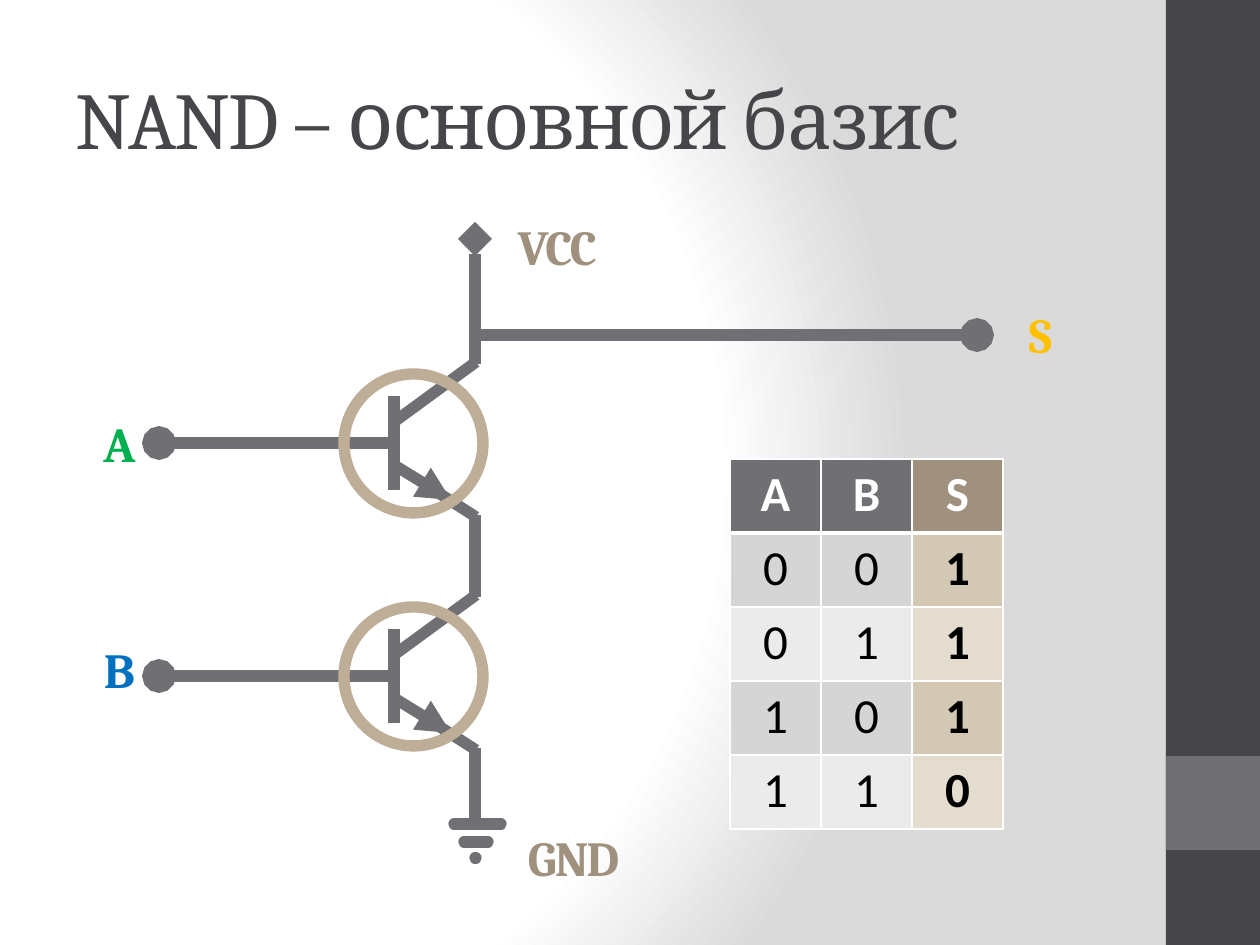
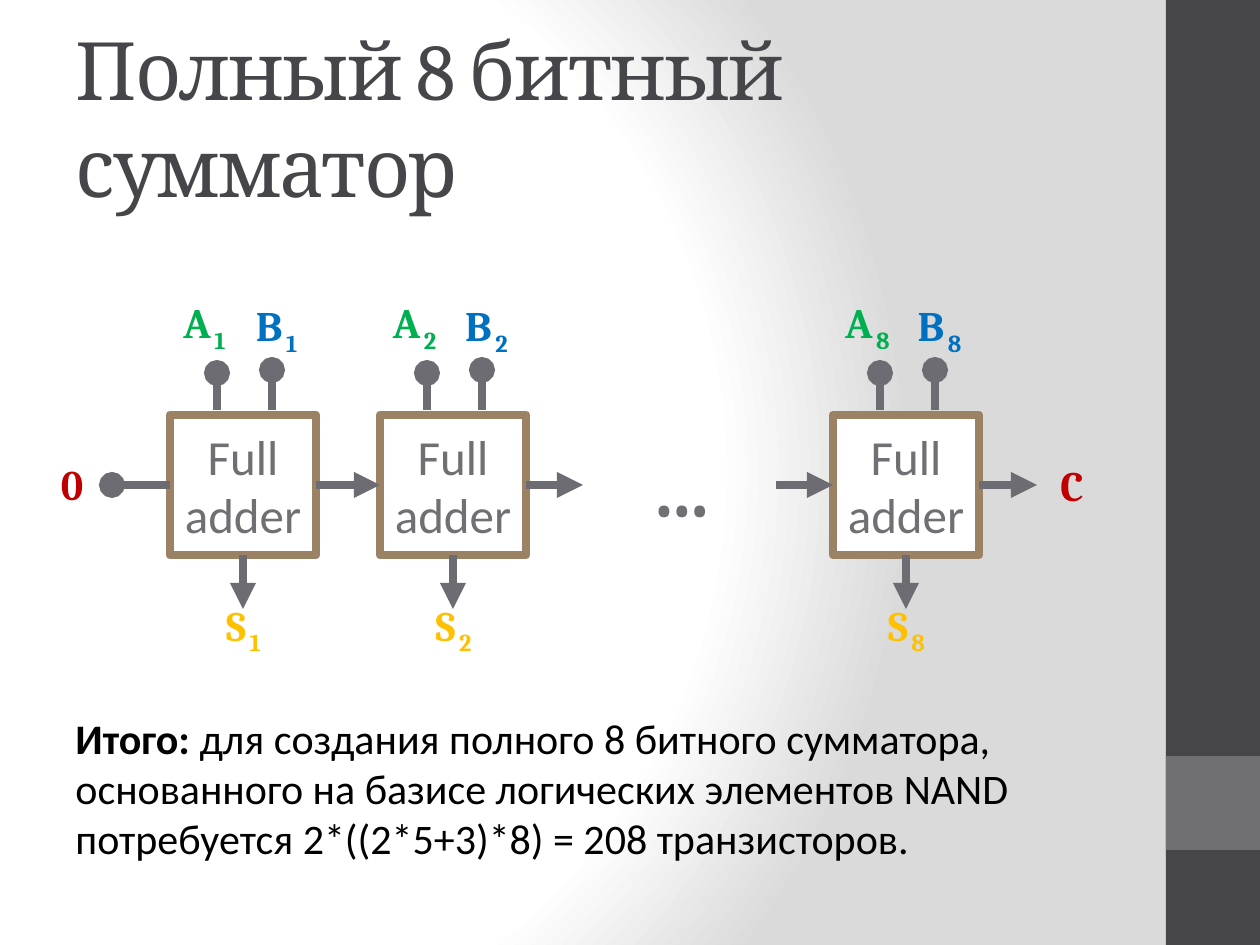
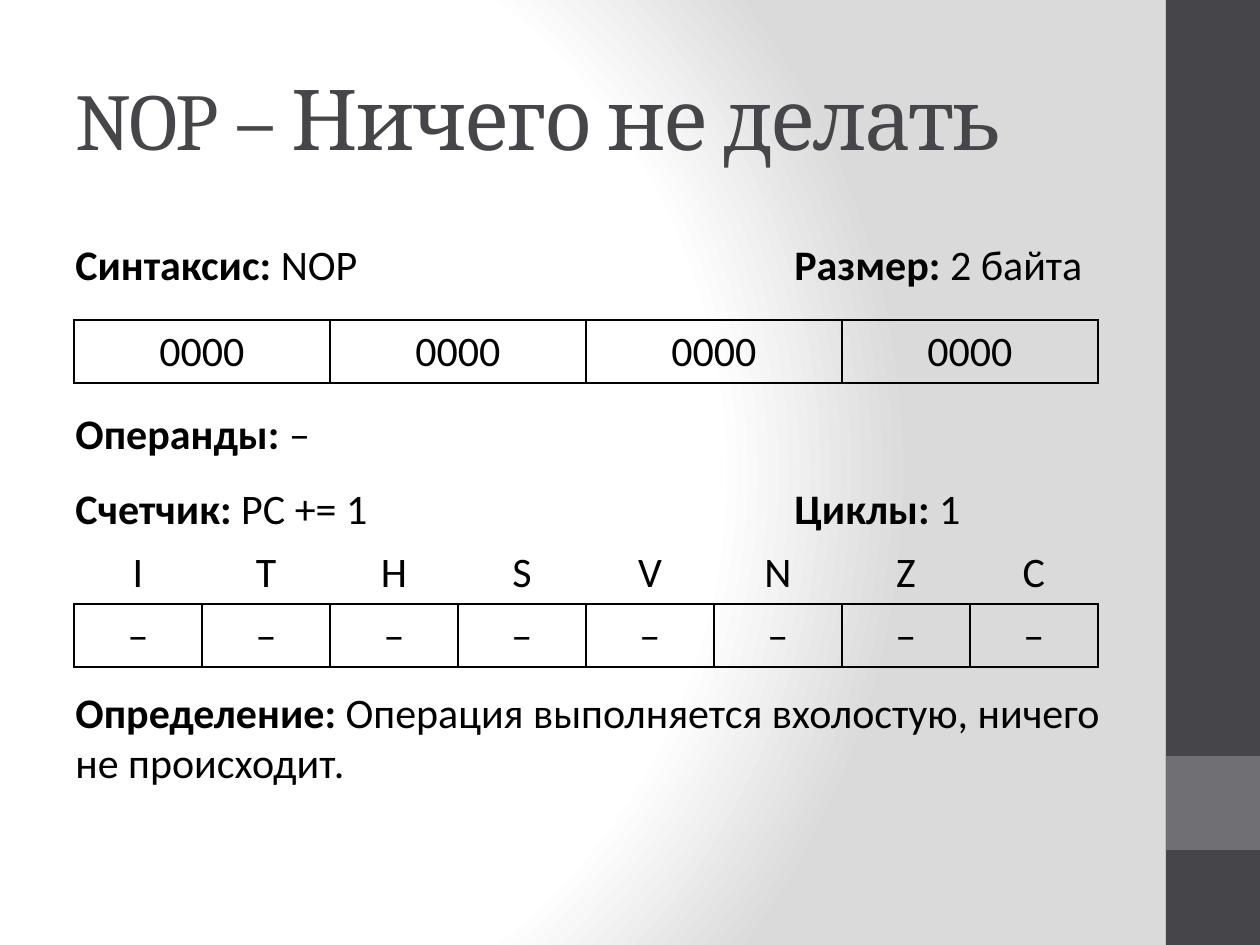
import dataclasses

import pptx
import pptx.dml.color
import pptx.enum.shapes
import pptx.enum.text
import pptx.oxml
import pptx.oxml.ns
import pptx.util

MSO_SHAPE = pptx.enum.shapes.MSO_SHAPE
ALIGN = pptx.enum.text.PP_ALIGN
ANCHOR = pptx.enum.text.MSO_ANCHOR
AUTO_SIZE = pptx.enum.text.MSO_AUTO_SIZE
PX_PER_INCH = 126
TOP, LEFT, BOTTOM, RIGHT = range(4)
PLAIN_TABLE_STYLE = "{2D5ABB26-0587-4C30-8999-92F81FD0307C}"


@dataclasses.dataclass(frozen=True)
class Theme:
    """Colours, fonts and type sizes of the deck."""
    heading_font: str = "Cambria"
    body_font: str = "Calibri"
    dark: str = "46464A"
    grey: str = "6F6F74"
    wire: str = "6C6C72"
    white: str = "FFFFFF"
    black: str = "000000"
    shade: str = "DADADA"
    ring: str = "BEAE98"
    tan: str = "A0917F"
    brown: str = "9C8265"
    green: str = "00B050"
    blue: str = "0070C0"
    gold: str = "FFC000"
    red: str = "C00000"
    input_bands: tuple = ("D5D5D6", "EBEBEB")
    output_bands: tuple = ("D3C8B4", "E3DCCF")
    title_size: int = 46
    title_large: int = 48
    dots_size: int = 44
    large: int = 28
    body: int = 24
    thick_wire: float = 6.5
    thin_wire: float = 5


THEME = Theme()


@dataclasses.dataclass(frozen=True)
class Span:
    """A stretch of text with its own look."""
    text: str
    bold: bool = None
    size: int = None
    subscript: bool = False


def px(length):
    """Turn pixels into EMU."""
    return pptx.util.Emu(round(length * 914400 / PX_PER_INCH))


def rgb(colour):
    """Turn a hex string into a colour."""
    return pptx.dml.color.RGBColor.from_string(colour)


def drawing_xml(tag, body=""):
    """Make a DrawingML element from a tag with attributes."""
    name = tag.split()[0]
    namespace = pptx.oxml.ns.nsdecls("a")
    return pptx.oxml.parse_xml(f"<a:{tag} {namespace}>{body}</a:{name}>")


def write(frame, spans, size, colour, font=THEME.body_font, bold=None,
          align=ALIGN.LEFT, tight=False):
    """Fill a text frame with one paragraph of spans."""
    para = frame.paragraphs[0]
    para.alignment = align
    para.font.name = font
    para.font.size = pptx.util.Pt(size)
    para.font.bold = bold
    para.font.color.rgb = rgb(colour)
    if tight:
        para.font._element.set("spc", "-100")
    for span in spans:
        run = para.add_run()
        run.text = span.text
        if span.bold is not None:
            run.font.bold = span.bold
        if span.size:
            run.font.size = pptx.util.Pt(span.size)
        if span.subscript:
            run.font._element.set("baseline", "-25000")


def add_title(page, *spans):
    """Place and fill the title placeholder."""
    title = page.shapes.title
    title.left, title.top, title.width, title.height = map(px, (63, 38, 1050, 158))
    frame = title.text_frame
    frame.word_wrap = True
    frame.auto_size = AUTO_SIZE.NONE
    frame.vertical_anchor = ANCHOR.MIDDLE
    write(frame, spans, THEME.title_size, THEME.dark, THEME.heading_font, tight=True)


def add_label(page, spans, place, colour, size):
    """Add a bold centred label."""
    frame = page.shapes.add_textbox(*map(px, place)).text_frame
    frame.word_wrap = True
    frame.vertical_anchor = ANCHOR.MIDDLE
    frame.margin_left = frame.margin_right = 0
    write(frame, spans, size, colour, THEME.heading_font, True, ALIGN.CENTER, True)


def add_note(page, lead, rest, place, wrap=True):
    """Add body text that opens with a bold lead."""
    frame = page.shapes.add_textbox(*map(px, place)).text_frame
    frame.word_wrap = wrap
    frame.auto_size = AUTO_SIZE.SHAPE_TO_FIT_TEXT
    write(frame, [Span(lead, bold=True), Span(rest, bold=False)], THEME.body, THEME.black)


def add_shape(page, kind, place, fill=None, line=None, width=0):
    """Add a preset shape without a shadow."""
    shape = page.shapes.add_shape(kind, *map(px, place))
    shape.shadow.inherit = False
    if fill:
        shape.fill.solid()
        shape.fill.fore_color.rgb = rgb(fill)
    else:
        shape.fill.background()
    if line:
        shape.line.color.rgb = rgb(line)
        shape.line.width = pptx.util.Pt(width)
    else:
        shape.line.fill.background()
    return shape


def add_wire(page, start, end, colour, width, tip=None, rounded=False):
    """Add a straight connector with an optional tip at its end."""
    wire = page.shapes.add_connector(
        pptx.enum.shapes.MSO_CONNECTOR.STRAIGHT, *map(px, (*start, *end)))
    wire.line.color.rgb = rgb(colour)
    wire.line.width = pptx.util.Pt(width)
    properties = wire.element.spPr
    line = properties.find(pptx.oxml.ns.qn("a:ln"))
    if rounded:
        line.set("cap", "rnd")
    if tip:
        line.append(drawing_xml(f'tailEnd type="{tip}"'))
    properties.append(drawing_xml("effectLst"))
    return wire


def thick_wire(page, start, end, tip=None, rounded=False):
    """Add a wire of the transistor circuit."""
    return add_wire(page, start, end, THEME.grey, THEME.thick_wire, tip, rounded)


def thin_wire(page, start, end, tip):
    """Add a wire of the adder chain."""
    return add_wire(page, start, end, THEME.wire, THEME.thin_wire, tip)


def add_grid(page, left, top, column, row, values):
    """Add an unstyled table of equal cells."""
    rows, columns = len(values), len(values[0])
    table = page.shapes.add_table(
        rows, columns, px(left), px(top), px(column * columns), px(row * rows)).table
    table.first_row = table.horz_banding = False
    style = table._tbl.tblPr.find(pptx.oxml.ns.qn("a:tableStyleId"))
    style.text = PLAIN_TABLE_STYLE
    for line in table.rows:
        line.height = px(row)
    for stack in table.columns:
        stack.width = px(column)
    return table


def fill_cell(cell, text, size, colour=THEME.black, bold=False, fill=None):
    """Write a centred value and set the cell's fill."""
    write(cell.text_frame, [Span(text)], size, colour, bold=bold, align=ALIGN.CENTER)
    if fill:
        cell.fill.solid()
        cell.fill.fore_color.rgb = rgb(fill)
    else:
        cell.fill.background()


def set_borders(cell, colour, **widths):
    """Draw the named sides of a cell, widths in points."""
    properties = cell._tc.get_or_add_tcPr()
    sides = [side for side in ("L", "R", "T", "B") if side in widths]
    for index, side in enumerate(sides):
        ink = f'<a:solidFill><a:srgbClr val="{colour}"/></a:solidFill>'
        width = pptx.util.Pt(widths[side])
        properties.insert(index, drawing_xml(f'ln{side} w="{width}"', ink))


def set_background(master):
    """Give the master its round gradient."""
    master.background.fill.gradient()
    gradient = master.element.find(".//" + pptx.oxml.ns.qn("a:gradFill"))
    stops = "".join(
        f'<a:gs pos="{position}000"><a:srgbClr val="{colour}"/></a:gs>'
        for position, colour in ((0, THEME.white), (75, THEME.white), (100, THEME.shade)))
    body = (f'<a:gsLst>{stops}</a:gsLst><a:path path="circle">'
            '<a:fillToRect l="20000" t="50000" r="100000" b="50000"/></a:path>')
    gradient.getparent().replace(
        gradient, drawing_xml('gradFill rotWithShape="1"', body))


def set_bands(master, page):
    """Draw the side bands and move them to the master."""
    bands = (((1166, 0, 94, 945), THEME.dark), ((1166, 756, 94, 94), THEME.grey))
    for index, (place, colour) in enumerate(bands):
        band = add_shape(page, MSO_SHAPE.RECTANGLE, place, colour).element
        band.nvSpPr.cNvPr.set("id", str(20 + index))
        master.shapes.element.insert(2 + index, band)


def add_transistor(page, base):
    """Draw a transistor whose base wire lies at the given height."""
    thick_wire(page, (423, base + 40), (476, base + 74))
    thick_wire(page, (394, base + 22), (451, base + 57), "triangle")
    thick_wire(page, (394, base - 21), (476, base - 81))
    thick_wire(page, (394, base), (159, base), "oval")
    thick_wire(page, (394, base + 47), (394, base - 47))
    add_shape(page, MSO_SHAPE.OVAL, (344, base - 69, 139, 139),
              line=THEME.ring, width=THEME.thick_wire)


def add_truth_table(page):
    """Add the NAND truth table."""
    values = ["ABS"] + [f"{a}{b}{1 - a * b}" for a in (0, 1) for b in (0, 1)]
    table = add_grid(page, 730, 459, 91, 74, values)
    for row, line in enumerate(values):
        for column, value in enumerate(line):
            cell = table.cell(row, column)
            output = column == 2
            if row == 0:
                fill = THEME.tan if output else THEME.grey
                fill_cell(cell, value, THEME.large, THEME.white, True, fill)
            else:
                bands = THEME.output_bands if output else THEME.input_bands
                fill_cell(cell, value, THEME.large, bold=output, fill=bands[(row - 1) % 2])
            set_borders(cell, THEME.white, L=1, R=1,
                        T=3 if row == 1 else 1, B=3 if row == 0 else 1)


def build_nand(page):
    """Build the NAND circuit slide."""
    add_title(page, Span("NAND – основной базис"))
    for base in (676, 443):
        add_transistor(page, base)
    thick_wire(page, (475, 364), (475, 239), "diamond")
    for start, end in ((515, 597), (748, 822)):
        thick_wire(page, (475, start), (475, end))
    for left, right, height in ((454, 501, 824), (464, 488, 842), (475, 476, 858)):
        thick_wire(page, (left, height), (right, height), rounded=True)
    thick_wire(page, (476, 335), (977, 335), "oval")
    labels = (
        ("GND", (510, 829, 127, 55), THEME.tan),
        ("VCC", (501, 218, 113, 55), THEME.tan),
        ("A", (63, 415, 113, 55), THEME.green),
        ("B", (63, 641, 113, 55), THEME.blue),
        ("S", (1002, 306, 77, 55), THEME.gold),
    )
    for text, place, colour in labels:
        add_label(page, [Span(text)], place, colour, THEME.large)
    add_truth_table(page)


def add_adder(page, left, bit):
    """Draw one adder with its inputs and its sum; return the box."""
    top = 415
    box = add_shape(page, MSO_SHAPE.RECTANGLE, (left, top, 146, 140),
                    THEME.white, THEME.brown, THEME.thin_wire)
    box.text_frame.word_wrap = True
    box.text_frame.vertical_anchor = ANCHOR.MIDDLE
    write(box.text_frame, [Span("Full adder")], THEME.large, THEME.grey, align=ALIGN.CENTER)
    for offset, height in ((47, 42), (102, 45)):
        thin_wire(page, (left + offset, top - 5), (left + offset, top - height), "oval")
    total = thin_wire(page, (left + 73, top + 140), (left + 73, top + 194), "triangle")
    total.begin_connect(box, BOTTOM)
    labels = (
        ("A", (left - 5, top - 109, 79, 39), THEME.green),
        ("B", (left + 67, top - 106, 79, 39), THEME.blue),
        ("S", (left + 32, top + 194, 83, 38), THEME.gold),
    )
    for letter, place, colour in labels:
        spans = [Span(letter), Span(f" {bit}", subscript=True)]
        add_label(page, spans, place, colour, THEME.body)
    return box


def build_adder_chain(page):
    """Build the 8 bit adder slide."""
    add_title(page, Span("Полный 8 битный сумматор"))
    first, second, last = (
        add_adder(page, left, bit) for left, bit in ((170, 1), (380, 2), (833, 8)))
    carry = 485
    links = (
        (first, LEFT, 170, None, 112, "oval"),
        (first, RIGHT, 316, second, 380, "triangle"),
        (second, RIGHT, 526, None, 583, "triangle"),
        (None, None, 776, last, 833, "triangle"),
        (last, RIGHT, 979, None, 1037, "triangle"),
    )
    for source, side, start, target, end, tip in links:
        wire = thin_wire(page, (start, carry), (end, carry), tip)
        if source:
            wire.begin_connect(source, side)
        if target:
            wire.end_connect(target, LEFT)
    add_label(page, [Span("0")], (29, 465, 86, 38), THEME.red, THEME.body)
    add_label(page, [Span("C")], (1017, 466, 110, 38), THEME.red, THEME.body)
    add_label(page, [Span("…")], (639, 460, 86, 53), THEME.grey, THEME.dots_size)
    add_note(page, "Итого:",
             " для создания полного 8 битного сумматора, основанного на базисе "
             "логических элементов NAND потребуется 2*((2*5+3)*8) = 208 транзисторов.",
             (63, 706, 1050, 165))


def build_nop(page):
    """Build the NOP instruction slide."""
    add_title(page, Span("NOP "), Span("– Ничего не делать", size=THEME.title_large))
    add_note(page, "Определение: ",
             "Операция выполняется вхолостую, ничего не происходит.", (63, 680, 1050, 115))
    add_note(page, "Операнды: ", "–", (63, 401, 1050, 63))
    facts = (
        ("Синтаксис: ", "NOP", (63, 232, 311, 63)),
        ("Размер: ", "2 байта", (782, 232, 316, 63)),
        ("Счетчик: ", "PC += 1", (63, 476, 330, 63)),
        ("Циклы: ", "1", (782, 476, 193, 63)),
    )
    for lead, rest, place in facts:
        add_note(page, lead, rest, place, wrap=False)
    opcode = add_grid(page, 74, 320, 256, 63, [["0000"] * 4])
    for cell in opcode.iter_cells():
        fill_cell(cell, "0000", THEME.body)
        set_borders(cell, THEME.black, L=1, R=1, T=1, B=1)
    flags = "ITHSVNZC"
    status = add_grid(page, 74, 541, 128, 63, [flags, flags])
    for column, flag in enumerate(flags):
        name, state = status.cell(0, column), status.cell(1, column)
        fill_cell(name, flag, THEME.body)
        set_borders(name, THEME.black, B=1)
        fill_cell(state, "–", THEME.body)
        set_borders(state, THEME.black, L=1, R=1, T=1, B=1)


def main():
    """Build and save the deck."""
    deck = pptx.Presentation()
    deck.slide_width, deck.slide_height = px(1260), px(945)
    layout = deck.slide_layouts.get_by_name("Title Only")
    pages = [deck.slides.add_slide(layout) for _ in range(3)]
    set_background(deck.slide_master)
    set_bands(deck.slide_master, pages[0])
    for build, page in zip((build_nand, build_adder_chain, build_nop), pages):
        build(page)
    deck.save("out.pptx")


if __name__ == "__main__":
    main()
